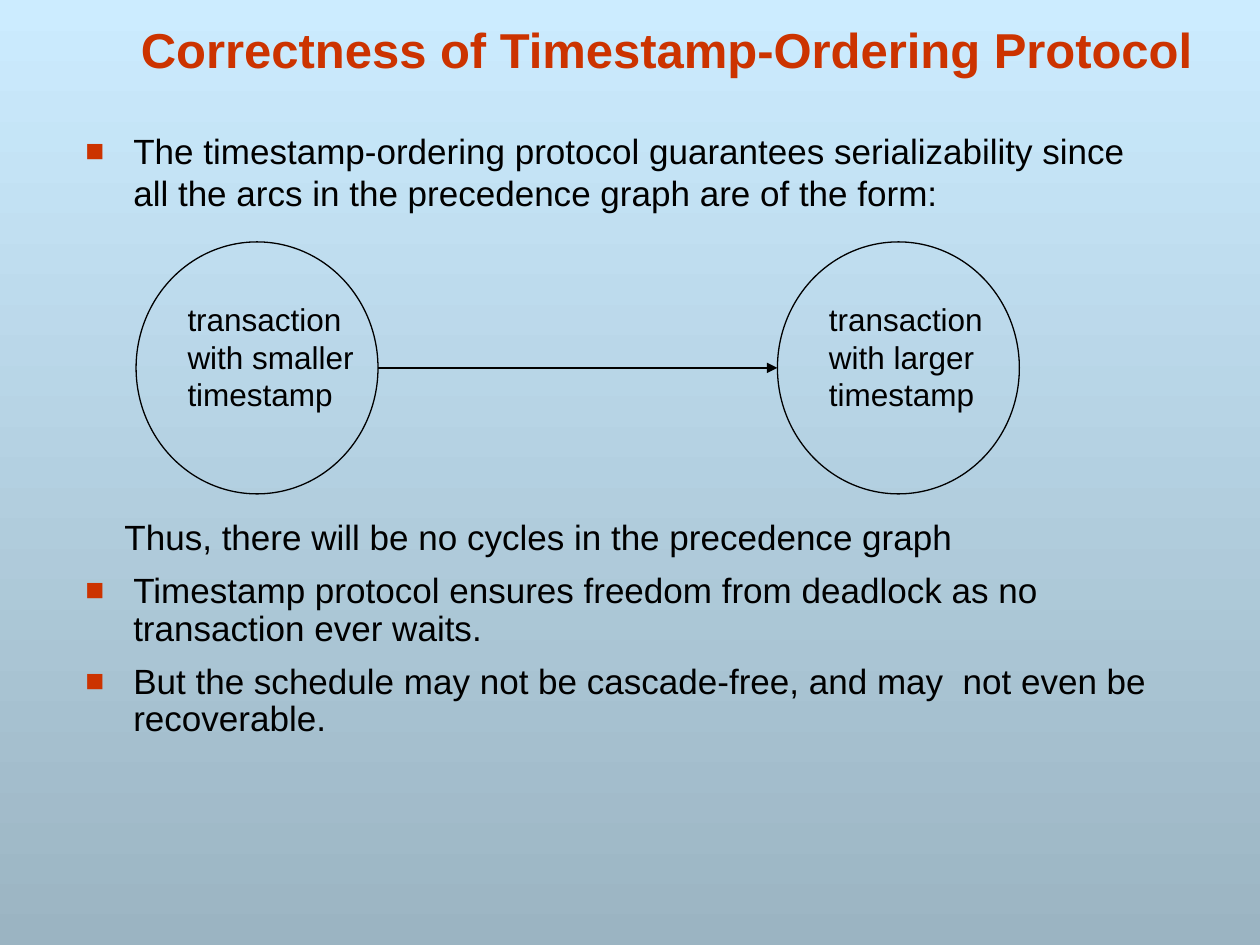
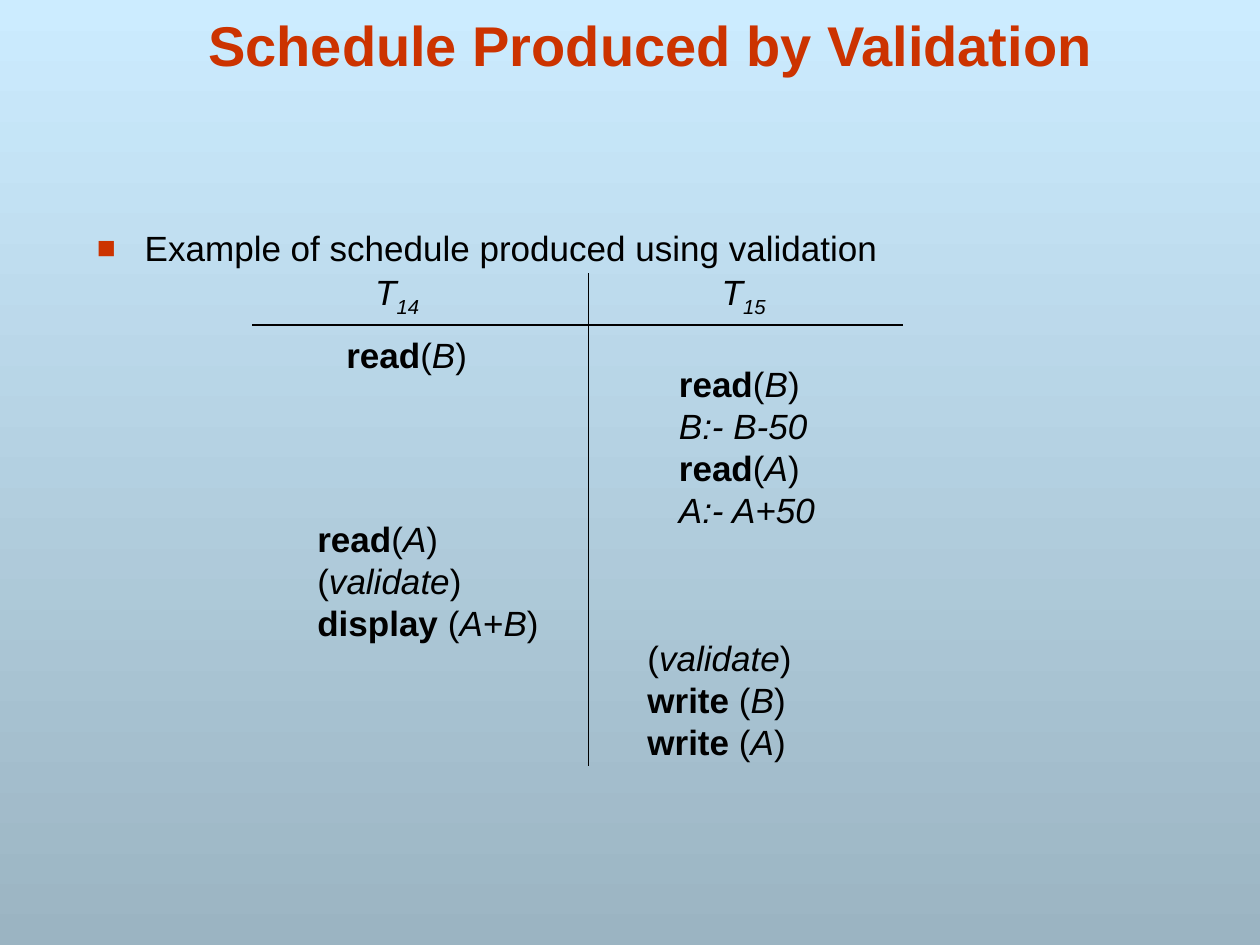
from lxml import etree
from pptx import Presentation
from pptx.dml.color import RGBColor
from pptx.enum.shapes import MSO_CONNECTOR, MSO_SHAPE
from pptx.enum.text import MSO_ANCHOR, PP_ALIGN
from pptx.oxml.ns import qn
from pptx.util import Inches, Pt

STRAIGHT = MSO_CONNECTOR.STRAIGHT
ELLIPSE = MSO_SHAPE.OVAL
BOTTOM = MSO_ANCHOR.BOTTOM
CENTER = PP_ALIGN.CENTER

FONT = "Arial"
BLACK, ACCENT = "000000", "CC3300"
SKY, SLATE = "CCECFF", "9BB4C2"
BULLET_INDENT = 0.38


def rgb(value):
    return RGBColor.from_string(value)


def call(action, argument, gap=""):
    """Runs for a bold action with its italic argument in brackets."""
    return [(action, "b"), (gap + "(", ""), (argument, "i"), (")", "")]


class Painter:
    """Holds the deck's style and the slide being filled."""

    def __init__(self):
        self.deck = Presentation()
        self.deck.slide_width, self.deck.slide_height = Inches(10), Inches(7.5)
        fill = self.deck.slide_master.background.fill
        fill.gradient()
        fill.gradient_angle = 270
        for stop, color in zip(fill.gradient_stops, (SKY, SLATE)):
            stop.color.rgb = rgb(color)
        self.page = None

    def new_page(self):
        self.page = self.deck.slides.add_slide(self.deck.slide_layouts[6])

    def frame(self, left, top, width, height):
        box = self.page.shapes.add_textbox(
            Inches(left), Inches(top), Inches(width), Inches(height))
        box.text_frame.word_wrap = True
        return box.text_frame

    def set_font(self, para, size, color=BLACK):
        para.font.name, para.font.size = FONT, Pt(size)
        para.font.color.rgb = rgb(color)

    def title(self, text, left, width, size):
        frame = self.frame(left, 0, width, 0.67)
        frame.vertical_anchor = BOTTOM
        para = frame.paragraphs[0]
        para.text, para.alignment = text, CENTER
        self.set_font(para, size, ACCENT)
        para.font.bold = True

    def body(self, left, top, width, height, items):
        """Items are (text, bulleted, space before in points, line spacing)."""
        frame = self.frame(left, top, width, height)
        for index, (text, bulleted, before, spacing) in enumerate(items):
            para = frame.add_paragraph() if index else frame.paragraphs[0]
            para.text = text
            para.space_before, para.line_spacing = Pt(before), spacing
            if bulleted:
                self.bullet(para)
            else:
                para._p.get_or_add_pPr().set("marL", str(Inches(0.31)))
            self.set_font(para, 20)

    def bullet(self, para):
        props = para._p.get_or_add_pPr()
        props.set("marL", str(Inches(BULLET_INDENT)))
        props.set("indent", str(-Inches(BULLET_INDENT)))
        color = etree.SubElement(props, qn("a:buClr"))
        etree.SubElement(color, qn("a:srgbClr"), val=ACCENT)
        etree.SubElement(props, qn("a:buSzPct"), val="90000")
        etree.SubElement(props, qn("a:buFont"), typeface=FONT)
        etree.SubElement(props, qn("a:buChar"), char="■")

    def label(self, left, top, width, height, lines, size=20):
        """Lines are lists of (text, style): b bold, i italic, s subscript."""
        frame = self.frame(left, top, width, height)
        for index, line in enumerate(lines):
            para = frame.add_paragraph() if index else frame.paragraphs[0]
            self.set_font(para, size)
            all_italic = all("i" in style for _, style in line)
            if all_italic:
                para.font.italic = True
            for text, style in line:
                span = para.add_run()
                span.text = text
                if "b" in style:
                    span.font.bold = True
                if "i" in style and not all_italic:
                    span.font.italic = True
                if "s" in style:
                    span._r.get_or_add_rPr().set("baseline", "-25000")

    def ellipse(self, left, top, width, height):
        shape = self.page.shapes.add_shape(
            ELLIPSE, Inches(left), Inches(top), Inches(width), Inches(height))
        shape.shadow.inherit = False
        shape.fill.background()
        self.outline(shape)

    def outline(self, shape):
        shape.line.color.rgb, shape.line.width = rgb(BLACK), Pt(0.75)

    def line(self, x1, y1, x2, y2, arrow=False):
        connector = self.page.shapes.add_connector(
            STRAIGHT, Inches(x1), Inches(y1), Inches(x2), Inches(y2))
        self.outline(connector)
        props = connector._element.spPr
        if arrow:
            etree.SubElement(props.find(qn("a:ln")), qn("a:tailEnd"), type="triangle")
        etree.SubElement(props, qn("a:effectLst"))


def correctness_page(painter):
    painter.new_page()
    painter.title("Correctness of Timestamp-Ordering Protocol", 0.58, 9.42, 28)
    painter.body(0.58, 0.98, 8.7, 5.78, [
        ("The timestamp-ordering protocol guarantees serializability since "
         "all the arcs in the precedence graph are of the form:", True, 0, 1.0),
        ("Thus, there will be no cycles in the precedence graph", False, 172.5, 1.0),
        ("Timestamp protocol ensures freedom from deadlock as no "
         "transaction ever waits.", True, 8.8, 0.9),
        ("But the schedule may not be cascade-free, and may  not even be "
         "recoverable.", True, 8.8, 0.9),
    ])
    top, width, height = 1.92, 1.92, 2
    smaller_left, larger_left = 1.08, 6.17
    for left, order in ((smaller_left, "smaller"), (larger_left, "larger")):
        painter.ellipse(left, top, width, height)
        lines = ("transaction", f"with {order}", "timestamp")
        painter.label(left + 0.31, 2.33, 1.6, 1,
                      [[(text, "")] for text in lines], size=18)
    middle = top + height / 2
    painter.line(smaller_left + width, middle, larger_left, middle, arrow=True)


def validation_page(painter):
    painter.new_page()
    painter.title("Schedule Produced by Validation", 0.75, 8.83, 32)
    painter.body(0.67, 1.75, 8.58, 5.33, [
        ("Example of schedule produced using validation", True, 0, 1.0)])
    painter.line(2, 2.58, 7.17, 2.58)
    painter.line(4.67, 2.17, 4.67, 6.08)
    for left, number in ((2.88, "14"), (5.63, "15")):
        painter.label(left, 2.1, 0.7, 0.48, [[("T", "i"), (number, "is")]])

    validate = [("(", ""), ("validate", "i"), (")", "")]
    display = [("display", "b"), (" (", ""), ("A", "i"), ("+", ""),
               ("B", "i"), (")", "")]
    writes = [call("write", item, gap=" ") for item in "BA"]
    painter.label(2.65, 2.6, 1.4, 0.44, [call("read", "B")])
    painter.label(5.29, 2.83, 1.5, 1.44, [
        call("read", "B"), [("B:- B-50", "i")],
        call("read", "A"), [("A:- A+50", "i")]])
    painter.label(2.42, 4.06, 2.15, 1.1, [call("read", "A"), validate, display])
    painter.label(5.04, 5, 1.6, 1.1, [validate, *writes])


def main():
    painter = Painter()
    correctness_page(painter)
    validation_page(painter)
    painter.deck.save("out.pptx")


if __name__ == "__main__":
    main()
